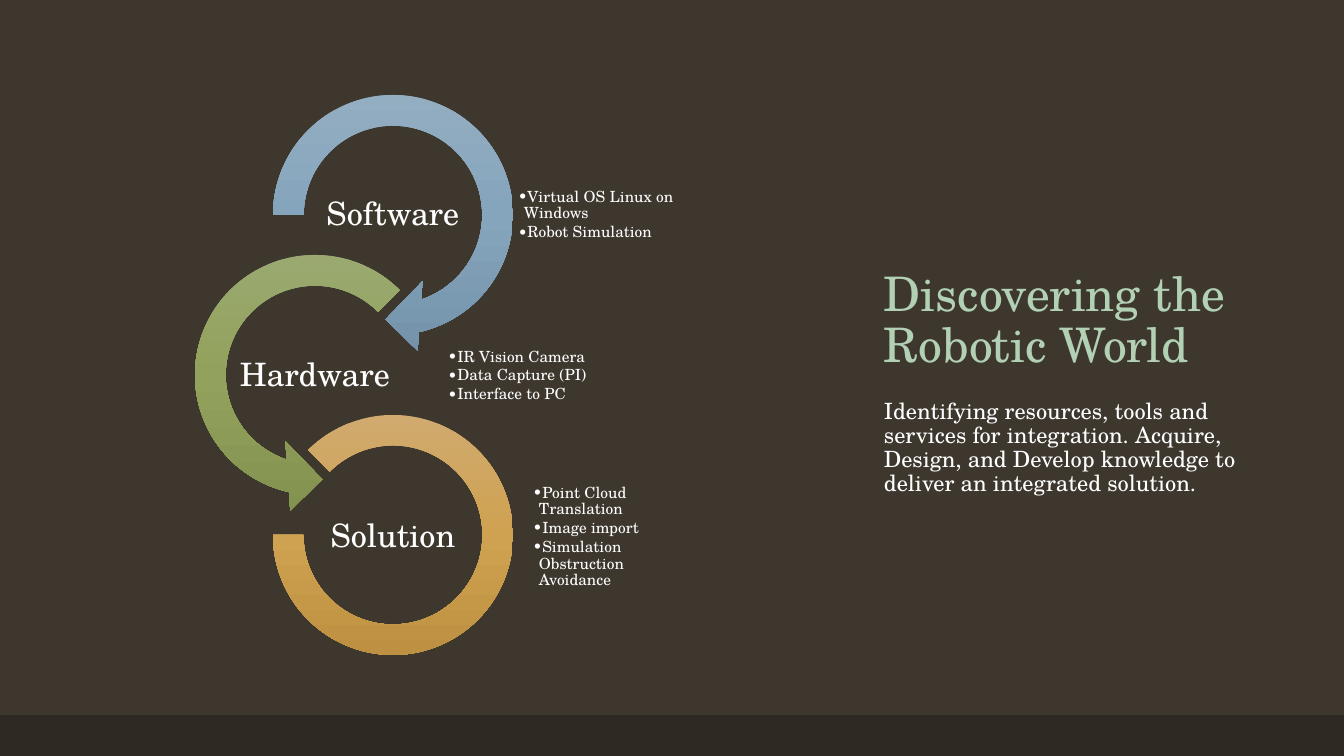
import copy
from dataclasses import dataclass

import pptx
import pptx.dml.color
import pptx.enum.shapes
import pptx.enum.text
import pptx.oxml
import pptx.oxml.ns
import pptx.util

PX = 914400 / 100.8
SHAPE = pptx.enum.shapes.MSO_SHAPE
ALIGN = pptx.enum.text.PP_ALIGN
ANCHOR = pptx.enum.text.MSO_ANCHOR


@dataclass(frozen=True)
class Theme:
    font: str = "TeX Gyre Schola"
    background: str = "3D372E"
    band: str = "2E2923"
    title: str = "B2D0B4"
    text: str = "FFFFFF"
    blue: tuple = ("96AFC2", "85A5BC", "7493AA")
    green: tuple = ("9CAA73", "92A25C", "83934F")
    gold: tuple = ("D0AA6E", "CFA251", "BE9142")
    title_size: int = 34
    body_size: int = 16
    label_size: int = 23
    bullet_size: int = 11


THEME = Theme()

# Each step: label, bullets, ring shape, adjustments, diameter, colours,
# ring centre, bullet left and bullet width
STEPS = [
    ("Software", ["Virtual OS Linux on Windows", "Robot Simulation"],
     SHAPE.CIRCULAR_ARROW, (0.11, 11.42, 45, 108, 0.125), 279, THEME.blue,
     218, 342, 198),
    ("Hardware", ["IR Vision Camera", "Data Capture (PI)", "Interface to PC"],
     SHAPE.LEFT_CIRCULAR_ARROW, (0.11, 11.42, 63, 189, 0.125), 279, THEME.green,
     140, 272, 183),
    ("Solution", ["Point Cloud Translation", "Image import",
                  "Simulation Obstruction Avoidance"],
     SHAPE.BLOCK_ARC, (135, 108, 0.127), 240, THEME.gold,
     218, 357, 167),
]


def px(n):
    return pptx.util.Emu(round(n * PX))


def rgb(value):
    return pptx.dml.color.RGBColor.from_string(value)


def add_shape(shapes, kind, x, y, w, h):
    sp = shapes.add_shape(kind, px(x), px(y), px(w), px(h))
    sp.shadow.inherit = False
    sp.line.fill.background()
    return sp


def add_text(shapes, box, lines, size, color=THEME.text, anchor=ANCHOR.TOP,
             align=ALIGN.LEFT, insets=(10, 5), before=0, after=0):
    tf = shapes.add_textbox(*map(px, box)).text_frame
    tf.word_wrap = True
    tf.vertical_anchor = anchor
    tf.margin_left = tf.margin_right = px(insets[0])
    tf.margin_top = tf.margin_bottom = px(insets[1])
    tf.text = "\n".join(lines)
    for p in tf.paragraphs:
        p.alignment = align
        p.line_spacing = 0.9
        p.space_before = pptx.util.Pt(before)
        p.space_after = pptx.util.Pt(after)
        for r in p.runs:
            r.font.name = THEME.font
            r.font.size = pptx.util.Pt(size)
            r.font.color.rgb = rgb(color)
    return tf


def add_bullets(tf):
    ns = pptx.oxml.ns.nsdecls("a")
    for p in tf.paragraphs:
        p.level = 1
        pPr = p._p.get_or_add_pPr()
        pPr.set("marL", str(px(6)))
        pPr.set("indent", str(-px(6)))
        for tag in (f'buFont {ns} typeface="{THEME.font}"',
                    f'buChar {ns} char="•"'):
            pPr.append(pptx.oxml.parse_xml(f"<a:{tag}/>"))


def fill_gradient(sp, colors):
    sp.fill.gradient()
    sp.fill.gradient_angle = 270
    stop_list = sp._element.spPr.find(".//" + pptx.oxml.ns.qn("a:gsLst"))
    stop_list.append(copy.deepcopy(stop_list[-1]))
    for i, (stop, color) in enumerate(zip(sp.fill.gradient_stops, colors)):
        stop.position = i / 2
        stop.color.rgb = rgb(color)


def add_process(slide, x, y):
    """Chain of three rings, each with a label and bullets."""
    shapes = slide.shapes.add_group_shape().shapes
    for i, step in enumerate(STEPS):
        label, bullets, kind, adjustments, d, colors, cx, left, width = step
        # Ring
        ring_y = y + 139 + 160 * i
        sp = add_shape(shapes, kind, x + cx - d / 2, ring_y - d / 2, d, d)
        for n, value in enumerate(adjustments):
            sp.adjustments[n] = value
        fill_gradient(sp, colors)
        # Bullets beside the ring
        text_y = y + 139 + 161 * i
        tf = add_text(shapes, (x + left, text_y - 56, width, 112), bullets,
                      THEME.bullet_size, anchor=ANCHOR.MIDDLE,
                      insets=(1, 1), after=1.65)
        add_bullets(tf)
        # Label inside the ring
        add_text(shapes, (x + cx - 78, text_y - 39, 156, 78), [label],
                 THEME.label_size, anchor=ANCHOR.MIDDLE, align=ALIGN.CENTER,
                 insets=(2, 2), after=8)


def add_heading(slide, x, y, w):
    """Title above its summary."""
    add_text(slide.shapes, (x, y, w, 210), ["Discovering the Robotic World"],
             THEME.title_size, THEME.title, ANCHOR.BOTTOM)
    add_text(slide.shapes, (x, y + 227, w, 202),
             ["Identifying resources, tools and services for integration. "
              "Acquire, Design, and Develop knowledge to deliver an "
              "integrated solution."], THEME.body_size, before=10)


def add_backdrop(slide, w, h):
    """Background with a dark band at the foot."""
    fill = slide.background.fill
    fill.solid()
    fill.fore_color.rgb = rgb(THEME.background)
    band = add_shape(slide.shapes, SHAPE.RECTANGLE, 0, h - 41, w, 41)
    band.fill.solid()
    band.fill.fore_color.rgb = rgb(THEME.band)


def main():
    prs = pptx.Presentation()
    prs.slide_width, prs.slide_height = px(1344), px(756)
    slide = prs.slides.add_slide(prs.slide_layouts[6])
    add_backdrop(slide, 1344, 756)
    add_heading(slide, 874, 168, 378)
    add_process(slide, 175, 76)
    prs.save("out.pptx")


if __name__ == "__main__":
    main()
